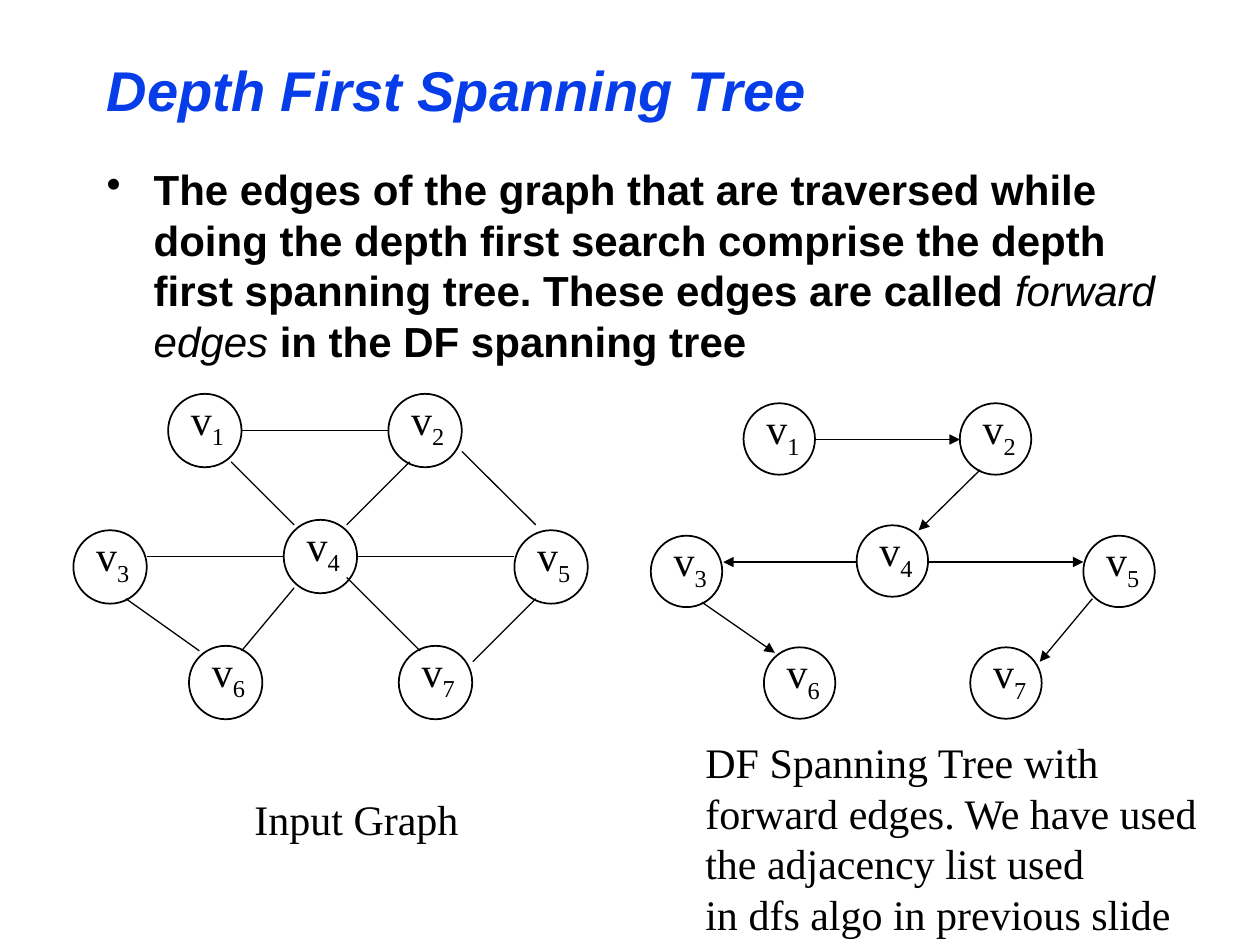
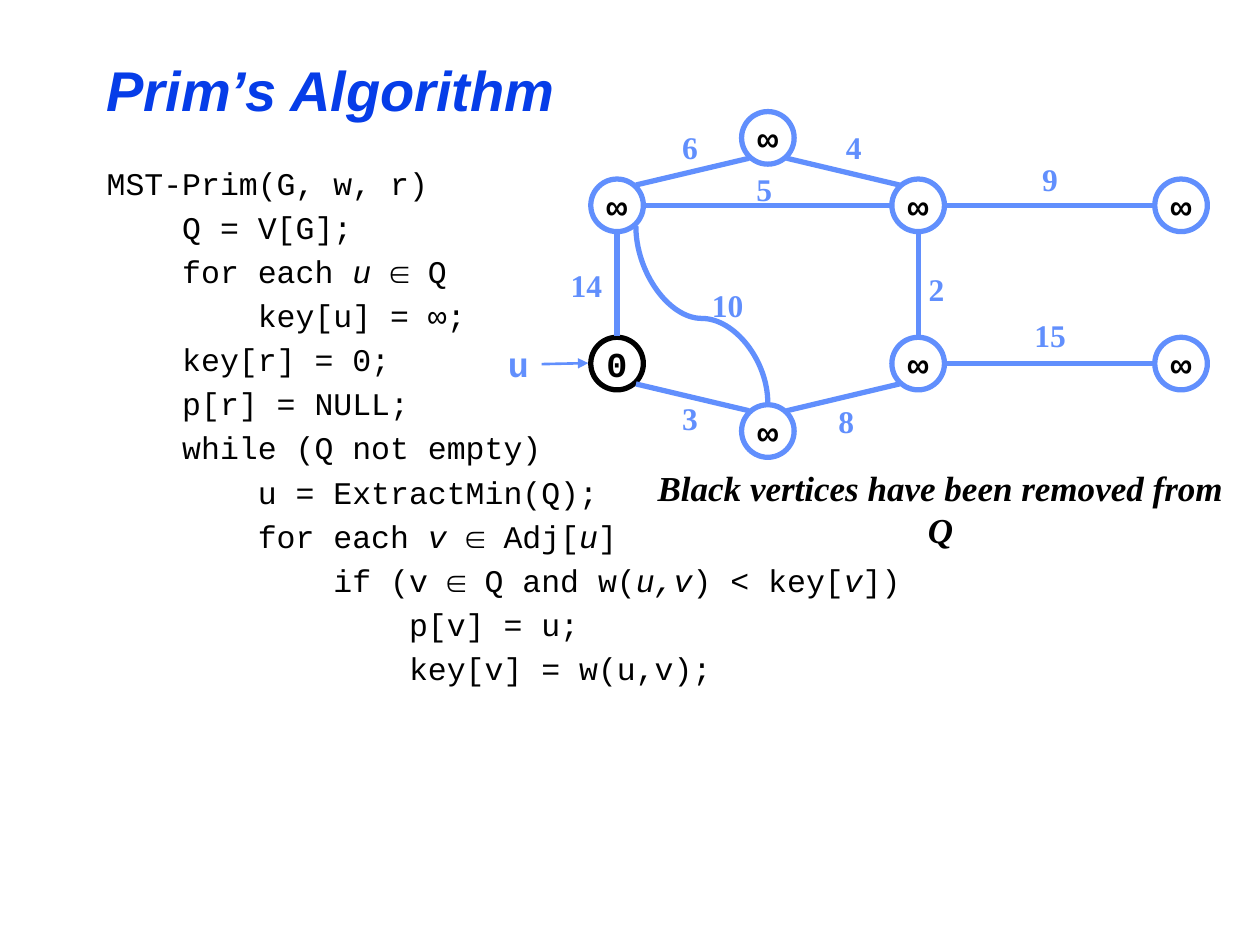
import pptx
import pptx.util
import pptx.dml.color
import pptx.enum.shapes
import pptx.enum.text
import lxml.etree
from dataclasses import dataclass

Cm = pptx.util.Cm
Pt = pptx.util.Pt
ALIGN = pptx.enum.text.PP_ALIGN
ANCHOR = pptx.enum.text.MSO_ANCHOR
CONNECTOR = pptx.enum.shapes.MSO_CONNECTOR
OVAL = pptx.enum.shapes.MSO_SHAPE.OVAL


@dataclass(frozen=True)
class Theme:
    title_blue: str = "063DE8"
    graph_blue: str = "618FFD"
    black: str = "000000"
    sans: str = "Arial"
    serif: str = "Times New Roman"
    mono: str = "Courier New"
    title: int = 32
    body: int = 24
    key: int = 20
    code: int = 18
    line_height: float = 1.2


THEME = Theme()

# Text styles: font, size, colour, bold, italic
TITLE = (THEME.sans, THEME.title, THEME.title_blue, True, True)
BODY = (THEME.sans, THEME.body, THEME.black, True, False)
CAPTION = (THEME.serif, THEME.body, THEME.black, False, False)
CODE = (THEME.mono, THEME.code, THEME.black, False, False)
KEY = (THEME.mono, THEME.key, THEME.black, True, False)
POINTER = (THEME.mono, THEME.key, THEME.graph_blue, True, False)
WEIGHT = (THEME.serif, THEME.code, THEME.graph_blue, True, False)
REMARK = (THEME.serif, THEME.key, THEME.black, True, True)

# Content of the spanning tree page; lengths in cm, *...* marks a variant span
TREE_TITLE = "Depth First Spanning Tree"
TREE_BODY = ("The edges of the graph that are traversed while doing the depth first "
             "search comprise the depth first spanning tree. These edges are called "
             "*forward edges* in the DF spanning tree")
GRAPHS = [
    {"size": 1.48, "head": False,
     "nodes": {1: (3.39, 7.94), 2: (7.83, 7.94), 3: (1.48, 10.69), 4: (5.72, 10.48),
               5: (10.37, 10.69), 6: (3.81, 13.02), 7: (8.04, 13.02)},
     "edges": [(4.87, 8.68, 7.83, 8.68), (9.31, 9.1, 10.8, 10.58),
               (4.66, 9.31, 5.93, 10.58), (8.26, 9.31, 6.99, 10.58),
               (5.72, 11.22, 2.96, 11.22), (7.2, 11.22, 10.37, 11.22),
               (2.54, 12.07, 4.02, 13.12), (5.93, 11.85, 4.87, 13.12),
               (6.99, 11.64, 8.47, 13.12), (10.8, 12.07, 9.53, 13.34)]},
    {"size": 1.44, "head": True,
     "nodes": {1: (14.99, 8.13), 2: (19.35, 8.13), 3: (13.12, 10.8), 4: (17.27, 10.59),
               5: (21.84, 10.8), 6: (15.4, 13.05), 7: (19.56, 13.05)},
     "edges": [(16.43, 8.86, 19.35, 8.86), (19.76, 9.47, 18.52, 10.69),
               (17.27, 11.33, 14.58, 11.33), (18.72, 11.33, 21.84, 11.33),
               (14.15, 12.14, 15.62, 13.16), (22.02, 12.07, 20.96, 13.34)]},
]
CAPTIONS = [
    ((4.88, 15.88, 4.83, 1.27), ["Input Graph"]),
    ((13.97, 14.73, 10.41, 4.32),
     ["DF Spanning Tree with forward edges. We have used the adjacency list used",
      "in dfs algo in previous slide"]),
]

# Content of the Prim page
PRIM_TITLE = "Prim’s Algorithm"
PRIM_CODE = [
    "MST-Prim(G, w, r)",
    "    Q = V[G];",
    "    for each *u *∈ Q",
    "        key[u] = ∞;",
    "    key[r] = 0;",
    "    p[r] = NULL;",
    "    while (Q not empty)",
    "        u = ExtractMin(Q);",
    "        for each *v *∈ Adj[*u*]",
    "            if (v ∈ Q and w(*u,v*) < key[*v*])",
    "                p[v] = u;",
    "                key[v] = w(u,v);",
]
# Vertices: centre and key
VERTICES = {
    "top": (15.48, 2.78, "∞"), "bottom": (15.48, 8.69, "∞"),
    "upper left": (12.44, 4.14, "∞"), "lower left": (12.44, 7.33, "0"),
    "upper mid": (18.51, 4.14, "∞"), "lower mid": (18.51, 7.33, "∞"),
    "upper right": (23.81, 4.14, "∞"), "lower right": (23.81, 7.33, "∞"),
}
# Edges: ends, weight, centre of the weight
WEIGHTED_EDGES = [
    ("top", "upper mid", "4", 17.21, 2.97),
    ("top", "upper left", "6", 13.91, 2.97),
    ("upper left", "upper mid", "5", 15.41, 3.81),
    ("lower left", "upper left", "14", 11.82, 5.74),
    ("lower left", "bottom", "3", 13.91, 8.43),
    ("bottom", "lower mid", "8", 17.06, 8.48),
    ("lower mid", "upper mid", "2", 18.88, 5.82),
    ("upper mid", "upper right", "9", 21.17, 3.61),
    ("lower mid", "lower right", "15", 21.17, 6.76),
]
CURVE_WEIGHT = ("10", 14.67, 6.15)
PRIM_REMARK = "Black vertices have been removed from Q"


# Shared helpers
def rgb(color):
    return pptx.dml.color.RGBColor.from_string(color)


def add_xml(parent, tag, **attributes):
    return lxml.etree.SubElement(parent, pptx.oxml.ns.qn(tag), attributes)


def italic_only(span):
    span.font.bold, span.font.italic = False, True


def subscript(span):
    span._r.get_or_add_rPr().set("baseline", "-25000")


def write(frame, lines, style, vary=italic_only, align=ALIGN.LEFT, gap=0):
    """Fill a text frame; the spans between asterisks are changed by vary."""
    font, size, color, bold, italic = style
    for row, line in enumerate(lines):
        para = frame.paragraphs[0] if row == 0 else frame.add_paragraph()
        para.alignment = align
        para.line_spacing = Pt(size * THEME.line_height)
        if row:
            para.space_before = Pt(gap)
        for index, text in enumerate(line.split("*")):
            span = para.add_run()
            span.text = text
            span.font.name, span.font.size = font, Pt(size)
            span.font.bold, span.font.italic = bold, italic
            span.font.color.rgb = rgb(color)
            if index % 2:
                vary(span)


def add_text(page, place, lines, style, wrap=True, **options):
    box = page.shapes.add_textbox(*map(Cm, place))
    box.text_frame.word_wrap = wrap
    write(box.text_frame, lines, style, **options)
    return box


def add_centred(page, x, y, width, height, text, style):
    place = (x - width / 2, y - height / 2, width, height)
    return add_text(page, place, [text], style, wrap=False, align=ALIGN.CENTER)


def add_circle(page, left, top, size, color, width):
    circle = page.shapes.add_shape(OVAL, Cm(left), Cm(top), Cm(size), Cm(size))
    circle.shadow.inherit = False
    circle.fill.background()
    circle.line.color.rgb = rgb(color)
    circle.line.width = Pt(width)
    return circle


def add_line(page, ends, color, width, head=False, kind=CONNECTOR.STRAIGHT):
    line = page.shapes.add_connector(kind, *map(Cm, ends))
    line.line.color.rgb = rgb(color)
    line.line.width = Pt(width)
    if head:
        add_xml(line.line._get_or_add_ln(), "a:tailEnd", type="triangle")
    add_xml(line._element.spPr, "a:effectLst")
    return line


def add_page(deck, title):
    page = deck.slides.add_slide(deck.slide_layouts[6])
    box = add_text(page, (1.9, 0.85, 21.59, 1.9), [title], TITLE)
    box.text_frame.vertical_anchor = ANCHOR.MIDDLE
    return page


# Spanning tree page
def build_tree_page(deck):
    page = add_page(deck, TREE_TITLE)
    body = add_text(page, (1.9, 3.18, 21.8, 4.29), [TREE_BODY], BODY)
    properties = body.text_frame.paragraphs[0]._p.get_or_add_pPr()
    properties.set("marL", str(Cm(0.95)))
    properties.set("indent", str(-Cm(0.95)))
    add_xml(properties, "a:buChar", char="•")

    for graph in GRAPHS:
        for number, (left, top) in graph["nodes"].items():
            add_circle(page, left, top, graph["size"], THEME.black, 1)
            label = add_text(page, (left, top, 1.42, 1.27), [f"v*{number}*"], CAPTION,
                             wrap=False, vary=subscript)
            label.text_frame.margin_left = Cm(0.46)
        for ends in graph["edges"]:
            add_line(page, ends, THEME.black, 0.75, graph["head"])
    for place, lines in CAPTIONS:
        add_text(page, place, lines, CAPTION)


# Prim page
def edge_ends(start, end):
    """Run from rim to rim: level and upright edges from the side, others askew."""
    (x1, y1, _), (x2, y2, _) = VERTICES[start], VERTICES[end]
    side_x = (x2 > x1) - (x2 < x1)
    side_y = (y2 > y1) - (y2 < y1)
    reach_x, reach_y = (0.38, 0.41) if side_x and side_y else (0.55, 0.55)
    dx, dy = side_x * reach_x, side_y * reach_y
    return x1 + dx, y1 + dy, x2 - dx, y2 - dy


def add_curve(page):
    """S-curve from the bottom vertex up to the upper left one, turned upright."""
    x, y, length, breadth = 14.15, 6.34, 3.57, 2.66
    ends = (x - length / 2, y - breadth / 2, x + length / 2, y + breadth / 2)
    curve = add_line(page, ends, THEME.graph_blue, 3, kind=CONNECTOR.CURVE)
    frame = curve._element.spPr.find(pptx.oxml.ns.qn("a:xfrm"))
    frame.set("rot", "5400000")
    frame.set("flipH", "1")
    guides = curve._element.spPr.find(".//" + pptx.oxml.ns.qn("a:avLst"))
    add_xml(guides, "a:gd", name="adj1", fmla="val 47800")


def build_prim_page(deck):
    page = add_page(deck, PRIM_TITLE)
    add_text(page, (1.9, 3.18, 21.8, 15.24), PRIM_CODE, CODE, gap=3.6)

    size = 1.06
    for x, y, key in VERTICES.values():
        color = THEME.black if key == "0" else THEME.graph_blue
        circle = add_circle(page, x - size / 2, y - size / 2, size, color, 3)
        circle.text_frame.word_wrap = False
        circle.text_frame.vertical_anchor = ANCHOR.MIDDLE
        write(circle.text_frame, [key], KEY, align=ALIGN.CENTER)
    for start, end, *_ in WEIGHTED_EDGES:
        add_line(page, edge_ends(start, end), THEME.graph_blue, 3)
    add_curve(page)
    for weight, x, y in [edge[2:] for edge in WEIGHTED_EDGES] + [CURVE_WEIGHT]:
        add_centred(page, x, y, 1.14, 1.02, weight, WEIGHT)

    # Remark and the pointer to the current vertex
    add_text(page, (12.75, 9.27, 12.42, 2.2), [PRIM_REMARK], REMARK, align=ALIGN.CENTER)
    add_centred(page, 10.45, 7.33, 0.94, 1.09, "u", POINTER)
    add_line(page, (10.92, 7.34, 11.86, 7.32), THEME.graph_blue, 1.5, head=True)


def main():
    deck = pptx.Presentation()
    deck.slide_width, deck.slide_height = Cm(25.4), Cm(19.05)
    build_tree_page(deck)
    build_prim_page(deck)
    deck.save("out.pptx")


if __name__ == "__main__":
    main()
